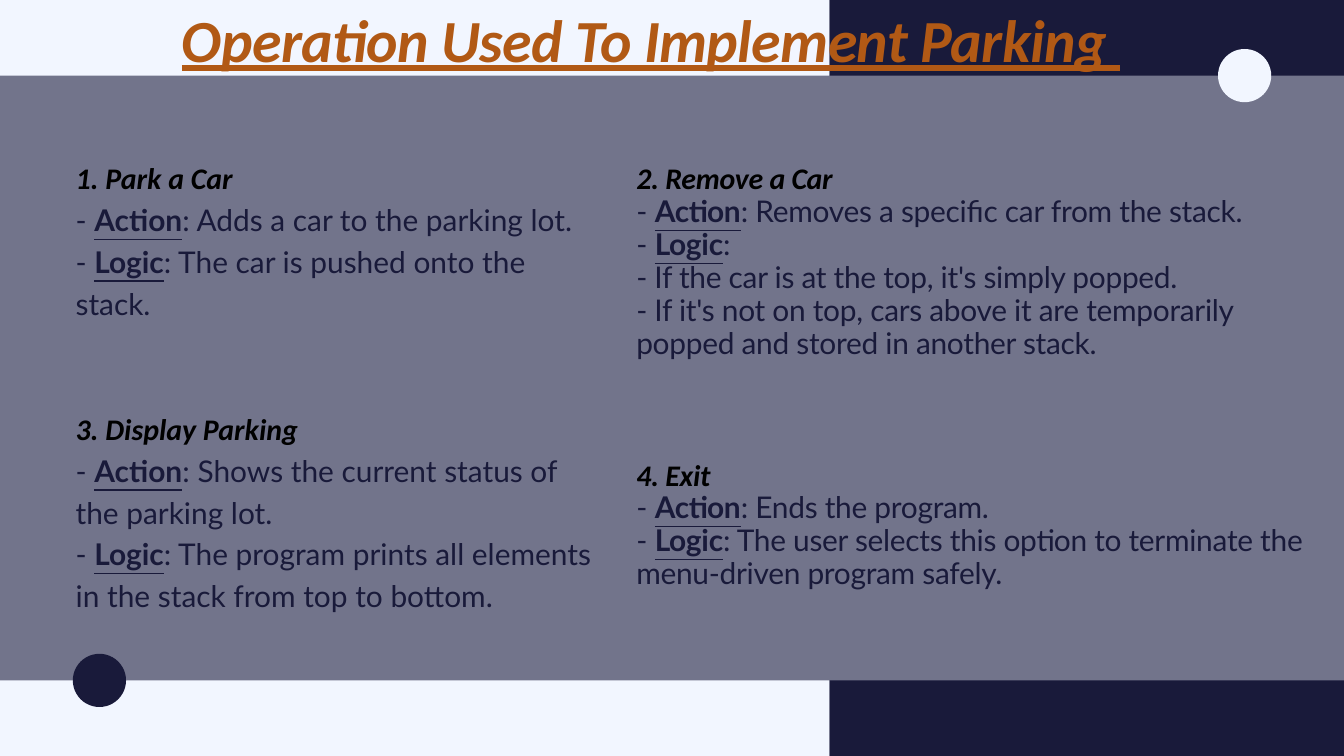
from dataclasses import dataclass

from pptx import Presentation
from pptx.dml.color import RGBColor
from pptx.enum.shapes import MSO_SHAPE
from pptx.enum.text import MSO_AUTO_SIZE
from pptx.util import Pt

RECTANGLE = MSO_SHAPE.RECTANGLE
OVAL = MSO_SHAPE.OVAL
GROW = MSO_AUTO_SIZE.SHAPE_TO_FIT_TEXT

PX = 9525  # EMU in one px
SLIDE_WIDTH, SLIDE_HEIGHT = 1920, 1080
BAND_HEIGHT, BAND_SPLIT = 108, 1185
DOT = 76


@dataclass(frozen=True)
class Theme:
    background: str = "72748B"
    navy: str = "191A3A"
    pale: str = "F2F6FF"
    orange: str = "B15915"
    black: str = "000000"
    heading_font: str = "Calibri"
    body_font: str = "Lato"
    title_size: int = 64
    text_size: int = 32


THEME = Theme()
TITLE = {"name": THEME.heading_font, "size": THEME.title_size, "color": THEME.orange,
         "bold": True, "italic": True, "underline": True}
HEADING = {"name": THEME.heading_font, "size": THEME.text_size, "color": THEME.black,
           "bold": True, "italic": True}
BODY = {"name": THEME.body_font, "size": THEME.text_size, "color": THEME.navy}
LABEL = {**BODY, "bold": True, "underline": True}


class SlideBuilder:
    def __init__(self, slide, theme):
        self.slide = slide
        self.theme = theme
        fill = slide.background.fill
        fill.solid()
        fill.fore_color.rgb = RGBColor.from_string(theme.background)

    def shape(self, kind, left, top, width, height, color):
        shape = self.slide.shapes.add_shape(kind, *(v * PX for v in (left, top, width, height)))
        shape.shadow.inherit = False
        shape.fill.solid()
        shape.fill.fore_color.rgb = RGBColor.from_string(color)
        shape.line.fill.background()

    def band(self, top):
        self.shape(RECTANGLE, BAND_SPLIT, top, SLIDE_WIDTH - BAND_SPLIT, BAND_HEIGHT,
                   self.theme.navy)
        self.shape(RECTANGLE, 0, top, BAND_SPLIT, BAND_HEIGHT, self.theme.pale)

    def dot(self, left, center_y, color):
        self.shape(OVAL, left, center_y - DOT // 2, DOT, DOT, color)

    def text(self, left, top, width, height, paragraphs, line_points, tracking=0):
        """Each paragraph is a list of (text, format) runs; tracking is in 1/100 pt."""
        box = self.slide.shapes.add_textbox(*(v * PX for v in (left, top, width, height)))
        frame = box.text_frame
        settings = {"word_wrap": True, "auto_size": GROW, "margin_left": 0,
                    "margin_top": 0, "margin_right": 0, "margin_bottom": 0}
        for key, value in settings.items():
            setattr(frame, key, value)
        for index, runs in enumerate(paragraphs):
            paragraph = frame.paragraphs[0] if index == 0 else frame.add_paragraph()
            paragraph.line_spacing = Pt(line_points)
            for text, style in runs:
                self.run(paragraph, text, style, tracking)

    def run(self, paragraph, text, style, tracking):
        run = paragraph.add_run()
        run.text = text
        for key, value in style.items():
            if key == "color":
                run.font.color.rgb = RGBColor.from_string(value)
            else:
                setattr(run.font, key, Pt(value) if key == "size" else value)
        if tracking:
            run.font._element.set("spc", str(tracking))

    def operation(self, column, top, height, heading, items):
        """Write a heading over dashed items, each a (label, text) pair."""
        paragraphs = [[(heading, HEADING)]]
        for label, text in items:
            if label:
                paragraphs.append([("- ", BODY), (label, LABEL), (": " + text if text else ":", BODY)])
            else:
                paragraphs.append([("- " + text, BODY)])
        self.text(column["left"], top, column["width"], height, paragraphs,
                  column["line_points"], column["tracking"])


LEFT = {"left": 108, "width": 738, "line_points": 44.8, "tracking": 0}
RIGHT = {"left": 909, "width": 960, "line_points": 35.2, "tracking": -30}

OPERATIONS = [
    (LEFT, 220, 239, "1. Park a Car", [
        ("Action", "Adds a car to the parking lot."),
        ("Logic", "The car is pushed onto the stack."),
    ]),
    (RIGHT, 233, 282, "2. Remove a Car", [
        ("Action", "Removes a specific car from the stack."),
        ("Logic", ""),
        (None, "If the car is at the top, it's simply popped."),
        (None, "If it's not on top, cars above it are temporarily popped "
               "and stored in another stack."),
    ]),
    (LEFT, 578, 299, "3. Display Parking", [
        ("Action", "Shows the current status of the parking lot."),
        ("Logic", "The program prints all elements in the stack from top to bottom."),
    ]),
    (RIGHT, 656, 188, "4. Exit", [
        ("Action", "Ends the program."),
        ("Logic", "The user selects this option to terminate the menu-driven program safely."),
    ]),
]


def main():
    presentation = Presentation()
    presentation.slide_width = SLIDE_WIDTH * PX
    presentation.slide_height = SLIDE_HEIGHT * PX
    slide = presentation.slides.add_slide(presentation.slide_layouts[6])
    builder = SlideBuilder(slide, THEME)

    bottom_band = SLIDE_HEIGHT - BAND_HEIGHT
    builder.band(0)
    builder.band(bottom_band)
    builder.dot(104, bottom_band, THEME.navy)
    builder.dot(1740, BAND_HEIGHT, THEME.pale)
    builder.text(260, 12, 1660, 96, [[("Operation Used To Implement Parking ", TITLE)]],
                 70.4, -60)
    for operation in OPERATIONS:
        builder.operation(*operation)

    presentation.save("out.pptx")


if __name__ == "__main__":
    main()
